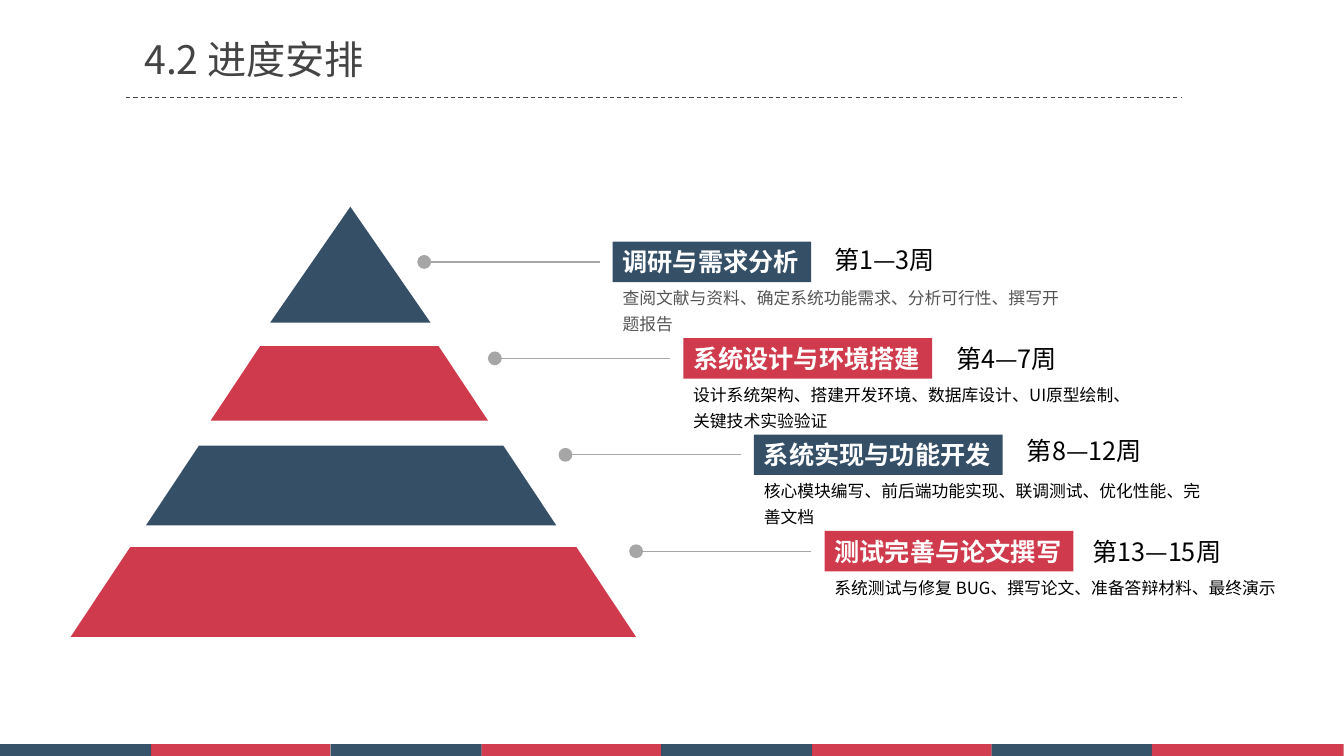
from dataclasses import dataclass

from lxml import etree
from pptx import Presentation
from pptx.dml.color import RGBColor
from pptx.enum.dml import MSO_LINE
from pptx.enum.shapes import MSO_CONNECTOR, MSO_SHAPE
from pptx.enum.text import MSO_ANCHOR, MSO_AUTO_SIZE, PP_ALIGN
from pptx.oxml.ns import qn
from pptx.util import Cm, Pt

RECT = MSO_SHAPE.RECTANGLE
TRIANGLE = MSO_SHAPE.ISOSCELES_TRIANGLE
TRAPEZOID = MSO_SHAPE.TRAPEZOID
STRAIGHT = MSO_CONNECTOR.STRAIGHT
DASH = MSO_LINE.DASH
TOP = MSO_ANCHOR.TOP
LEFT = PP_ALIGN.LEFT
GROW = MSO_AUTO_SIZE.SHAPE_TO_FIT_TEXT


@dataclass(frozen=True)
class Theme:
    """Colours, font and type sizes of the slide."""
    font: str = "Noto Sans CJK SC"
    tiers: tuple = ("344F66", "CF3B4C")
    band: tuple = ("062845", "C70E23")
    band_alpha: int = 80
    title: str = "444444"
    muted: str = "555555"
    text: str = "000000"
    white: str = "FFFFFF"
    line: str = "A6A6A6"
    title_size: int = 28
    label_size: int = 18
    body_size: int = 12


@dataclass(frozen=True)
class Step:
    """One stage of the schedule, with its week box relative to its row."""
    label: str
    label_w: float
    body: str
    body_color: str
    body_h: float
    week: str
    week_box: tuple


THEME = Theme()
W, H = 33.87, 19.05
BAND_WIDTHS = (3.81, 4.52) * 3 + (4.04, 4.83)
TIERS = ((5.03, 0, 4.04, 2.92), (3.53, 3.51, 6.99, 1.88),
         (1.9, 6.02, 10.34, 2.01), (0, 8.58, 14.25, 2.26))
STEPS = (
    Step("调研与需求分析", 5, "查阅文献与资料、确定系统功能需求、分析可行性、撰写开题报告",
         THEME.muted, 1.52, "第1—3周", (10.08, -0.58, 3.78)),
    Step("系统设计与环境搭建", 6.27, "设计系统架构、搭建开发环境、数据库设计、UI原型绘制、关键技术实验验证",
         THEME.text, 1.52, "第4—7周", (11.38, -0.51, 3.78)),
    Step("系统实现与功能开发", 6.27, "核心模块编写、前后端功能实现、联调测试、优化性能、完善文档",
         THEME.text, 1.52, "第8—12周", (11.38, -0.61, 3.78)),
    Step("测试完善与论文撰写", 6.27, "系统测试与修复 BUG、撰写论文、准备答辩材料、最终演示",
         THEME.text, 0.89, "第13—15周", (11.25, -0.51, 4.42)),
)


def add_block(s, kind, x, y, w, h, color):
    """Add a flat filled shape."""
    sp = s.shapes.add_shape(kind, Cm(x), Cm(y), Cm(w), Cm(h))
    sp.shadow.inherit = False
    sp.fill.solid()
    sp.fill.fore_color.rgb = RGBColor.from_string(color)
    sp.line.fill.background()
    return sp


def add_line(s, x, y, w, color, width):
    """Add a horizontal line without shadow."""
    line = s.shapes.add_connector(STRAIGHT, Cm(x), Cm(y), Cm(x + w), Cm(y))
    line.line.color.rgb = RGBColor.from_string(color)
    line.line.width = Pt(width)
    etree.SubElement(line._element.spPr, qn("a:effectLst"))
    return line


def write(sp, text, size, color, bold=False, wrap=True, spacing=None):
    """Write one left-aligned paragraph into a shape."""
    tf = sp.text_frame
    tf.word_wrap = wrap
    tf.auto_size = GROW
    tf.vertical_anchor = TOP
    p = tf.paragraphs[0]
    p.text = text
    p.alignment = LEFT
    if spacing:
        p.line_spacing = spacing
    p.font.size = Pt(size)
    p.font.bold = bold
    p.font.color.rgb = RGBColor.from_string(color)
    p.font.name = THEME.font
    props = p._p.pPr.find(qn("a:defRPr"))
    etree.SubElement(props, qn("a:ea"), typeface=THEME.font)
    return tf


def add_text(s, x, y, w, h, text, size, color, **style):
    """Add a text box."""
    sp = s.shapes.add_textbox(Cm(x), Cm(y), Cm(w), Cm(h))
    return write(sp, text, size, color, **style)


def add_band(s, x, y, h):
    """Draw the striped footer band."""
    for i, w in enumerate(BAND_WIDTHS):
        sp = add_block(s, RECT, x, y, w, h, THEME.band[i % 2])
        clr = sp._element.spPr.find(qn("a:solidFill"))[0]
        etree.SubElement(clr, qn("a:alpha"), val=str(THEME.band_alpha * 1000))
        x += w


def add_title(s, x, y, w, text):
    """Draw the heading and the dashed rule below it."""
    rule = add_line(s, x, y + 1.57, w, THEME.title, 0.75)
    rule.line.dash_style = DASH
    tf = add_text(s, x + 0.46, y, 10.13, 1.19, text, THEME.title_size, THEME.title)
    tf.margin_left = tf.margin_right = tf.margin_top = tf.margin_bottom = 0


def add_pyramid(s, x, y):
    """Draw the four tiers of the pyramid."""
    for i, (dx, dy, w, h) in enumerate(TIERS):
        kind = TRAPEZOID if i else TRIANGLE
        sp = add_block(s, kind, x + dx, y + dy, w, h, THEME.tiers[i % 2])
        if i:
            sp.adjustments[0] = 0.664


def add_step(s, x, y, step, color):
    """Draw one stage: pointer, label, description and weeks."""
    pointer = add_line(s, x, y, 4.42, THEME.line, 1)
    ln = pointer.line._get_or_add_ln()
    etree.SubElement(ln, qn("a:headEnd"), type="oval", w="lg", len="lg")
    label = add_block(s, RECT, x + 4.75, y - 0.51, step.label_w, 1.02, color)
    write(label, step.label, THEME.label_size, THEME.white, bold=True, wrap=False)
    add_text(s, x + 4.75, y + 0.38, 11.66, step.body_h, step.body,
             THEME.body_size, step.body_color, spacing=1.3)
    dx, dy, w = step.week_box
    add_text(s, x + dx, y + dy, w, 1.02, step.week, THEME.label_size, THEME.text)


def add_schedule(s, x, y, dx, dy):
    """Place the stages along a descending diagonal."""
    for i, step in enumerate(STEPS):
        add_step(s, x + i * dx, y + i * dy, step, THEME.tiers[i % 2])


def main():
    """Build the slide."""
    prs = Presentation()
    prs.slide_width, prs.slide_height = Cm(W), Cm(H)
    s = prs.slides.add_slide(prs.slide_layouts[6])
    add_band(s, 0, H - 0.3, 0.3)
    add_title(s, 3.18, 0.89, 26.59, "4.2 进度安排")
    add_pyramid(s, 1.78, 5.21)
    add_schedule(s, 10.69, 6.6, 1.78, 2.43)
    prs.save("out.pptx")


if __name__ == "__main__":
    main()
